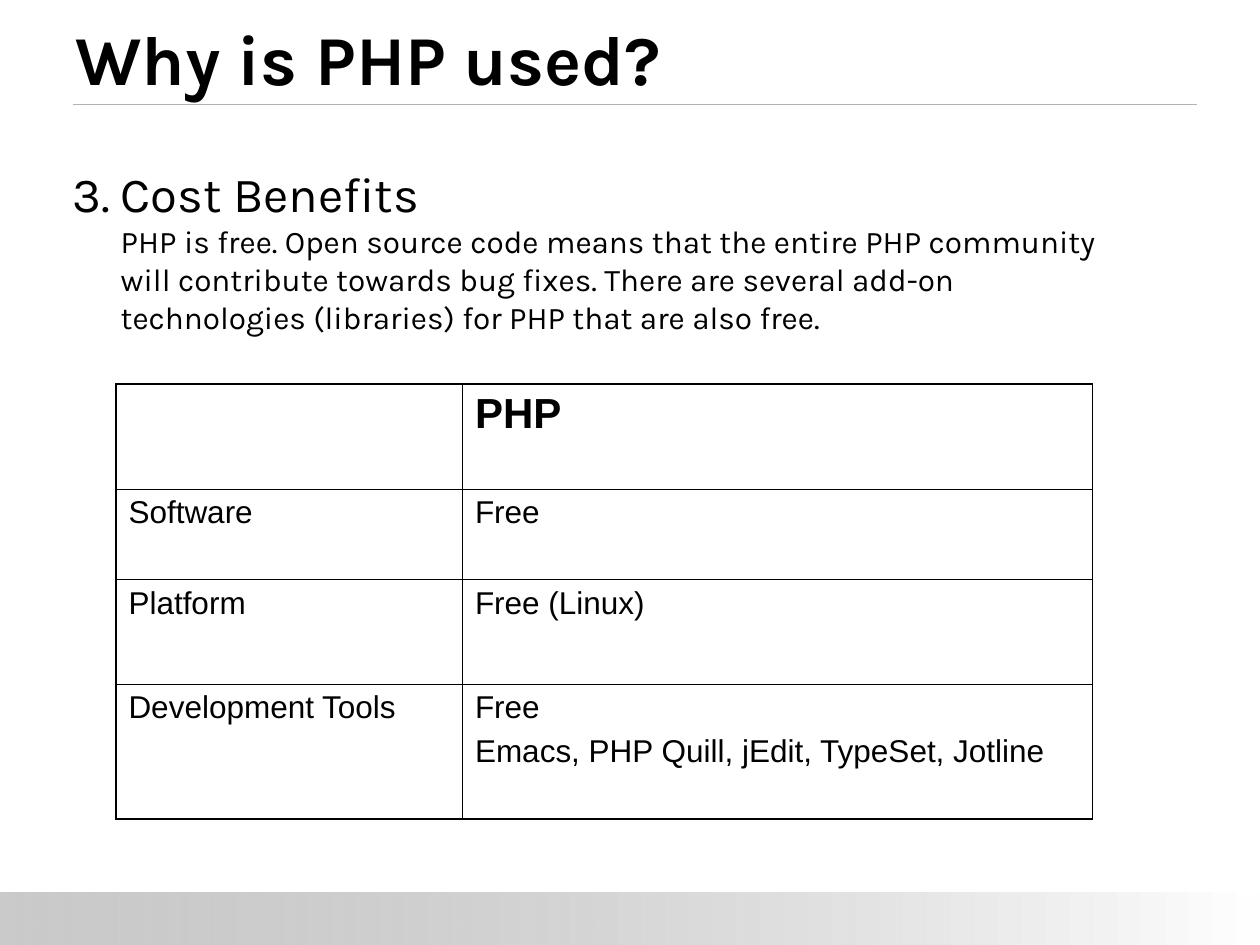
from dataclasses import dataclass

from lxml.etree import SubElement
from pptx import Presentation
from pptx.dml.color import RGBColor
from pptx.enum.shapes import MSO_CONNECTOR, MSO_SHAPE
from pptx.enum.text import MSO_ANCHOR
from pptx.oxml.ns import qn
from pptx.util import Inches, Pt


@dataclass(frozen=True)
class Theme:
    ink: str = "000000"
    paper: str = "FFFFFF"
    rule: str = "B2B2B2"
    band: str = "969696"
    heading_font: str = "Karla"
    table_font: str = "Arial"
    title: float = 40
    topic: float = 28
    header: float = 24
    body: float = 18
    outer: float = 1.08
    inner: float = 0.45


THEME = Theme()
COLUMNS = [2.75, 5]
ROWS = [
    (0.83, [[], ["PHP"]]),
    (0.72, [["Software"], ["Free"]]),
    (0.83, [["Platform"], ["Free (Linux)"]]),
    (1.07, [["Development Tools"],
            ["Free", "Emacs, PHP Quill, jEdit, TypeSet, Jotline"]]),
]


def rgb(value):
    return RGBColor.from_string(value)


def add_run(p, text, size, font=THEME.heading_font, bold=False):
    r = p.add_run()
    r.text = text
    r.font.name = font
    r.font.size = Pt(size)
    r.font.bold = bold
    r.font.color.rgb = rgb(THEME.ink)


def add_text_box(s, left, top, width, height, anchor=MSO_ANCHOR.TOP):
    box = s.shapes.add_textbox(Inches(left), Inches(top), Inches(width), Inches(height))
    tf = box.text_frame
    tf.word_wrap = True
    tf.vertical_anchor = anchor
    return tf


def add_footer_band(s):
    sp = s.shapes.add_shape(MSO_SHAPE.RECTANGLE, Inches(0), Inches(7.08), Inches(10), Inches(0.42))
    sp.shadow.inherit = False
    sp.line.fill.background()
    sp.fill.gradient()
    sp.fill.gradient_angle = 0
    start, end = sp.fill.gradient_stops
    start.position, end.position = 0, 1
    start.color.rgb = rgb(THEME.band)
    end.color.rgb = rgb(THEME.paper)
    color = next(sp._element.spPr.iter(qn("a:srgbClr")))
    SubElement(color, qn("a:alpha"), val="50000")


def add_rule(s):
    y = Inches(0.83)
    line = s.shapes.add_connector(MSO_CONNECTOR.STRAIGHT, Inches(0.58), y, Inches(9.5), y)
    line.line.color.rgb = rgb(THEME.rule)
    line.line.width = Pt(1)
    SubElement(line._element.spPr, qn("a:effectLst"))


def number_paragraph(p, start, indent):
    pPr = p._p.get_or_add_pPr()
    pPr.set("marL", str(Inches(indent)))
    pPr.set("indent", str(-Inches(indent)))
    color = SubElement(pPr, qn("a:buClr"))
    SubElement(color, qn("a:srgbClr"), val=THEME.ink)
    SubElement(pPr, qn("a:buAutoNum"), type="arabicPeriod", startAt=str(start))


def set_borders(cell, outer_sides):
    tcPr = cell._tc.get_or_add_tcPr()
    for side in "LRTB":
        width = THEME.outer if side in outer_sides else THEME.inner
        ln = SubElement(tcPr, qn(f"a:ln{side}"), w=str(Pt(width)))
        fill = SubElement(ln, qn("a:solidFill"))
        SubElement(fill, qn("a:srgbClr"), val=THEME.ink)


def fill_cell(cell, lines, header):
    cell.fill.solid()
    cell.fill.fore_color.rgb = rgb(THEME.paper)
    tf = cell.text_frame
    for i, text in enumerate(lines):
        p = tf.add_paragraph() if i else tf.paragraphs[0]
        if i:
            p.space_before = Pt(4.5)
        add_run(p, text, THEME.header if header else THEME.body, THEME.table_font, header)


def add_cost_table(s):
    height = sum(h for h, _ in ROWS)
    frame = s.shapes.add_table(len(ROWS), len(COLUMNS), Inches(0.92), Inches(3.05),
                               Inches(sum(COLUMNS)), Inches(height))
    table = frame.table
    table.first_row = table.horz_banding = False
    for column, width in zip(table.columns, COLUMNS):
        column.width = Inches(width)
    for i, (row_height, texts) in enumerate(ROWS):
        table.rows[i].height = Inches(row_height)
        for j, lines in enumerate(texts):
            sides = "R" if j else "L"
            if i == 0:
                sides += "T"
            if i == len(ROWS) - 1:
                sides += "B"
            cell = table.cell(i, j)
            set_borders(cell, sides)
            fill_cell(cell, lines, header=i == 0)


def main():
    prs = Presentation()
    prs.slide_width, prs.slide_height = Inches(10), Inches(7.5)
    s = prs.slides.add_slide(prs.slide_layouts[6])
    add_footer_band(s)
    add_rule(s)

    tf = add_text_box(s, 0.5, -0.03, 9, 0.87, MSO_ANCHOR.BOTTOM)
    add_run(tf.paragraphs[0], "Why is PHP used?", THEME.title, bold=True)

    p = add_text_box(s, 0.48, 1.25, 8.69, 1.97).paragraphs[0]
    number_paragraph(p, start=3, indent=0.38)
    add_run(p, "Cost Benefits", THEME.topic)
    p.add_line_break()
    add_run(p, "PHP is free. Open source code means that the entire PHP community "
               "will contribute towards bug fixes. There are several add-on "
               "technologies (libraries) for PHP that are also free.", THEME.body)

    add_cost_table(s)
    prs.save("out.pptx")


if __name__ == "__main__":
    main()
